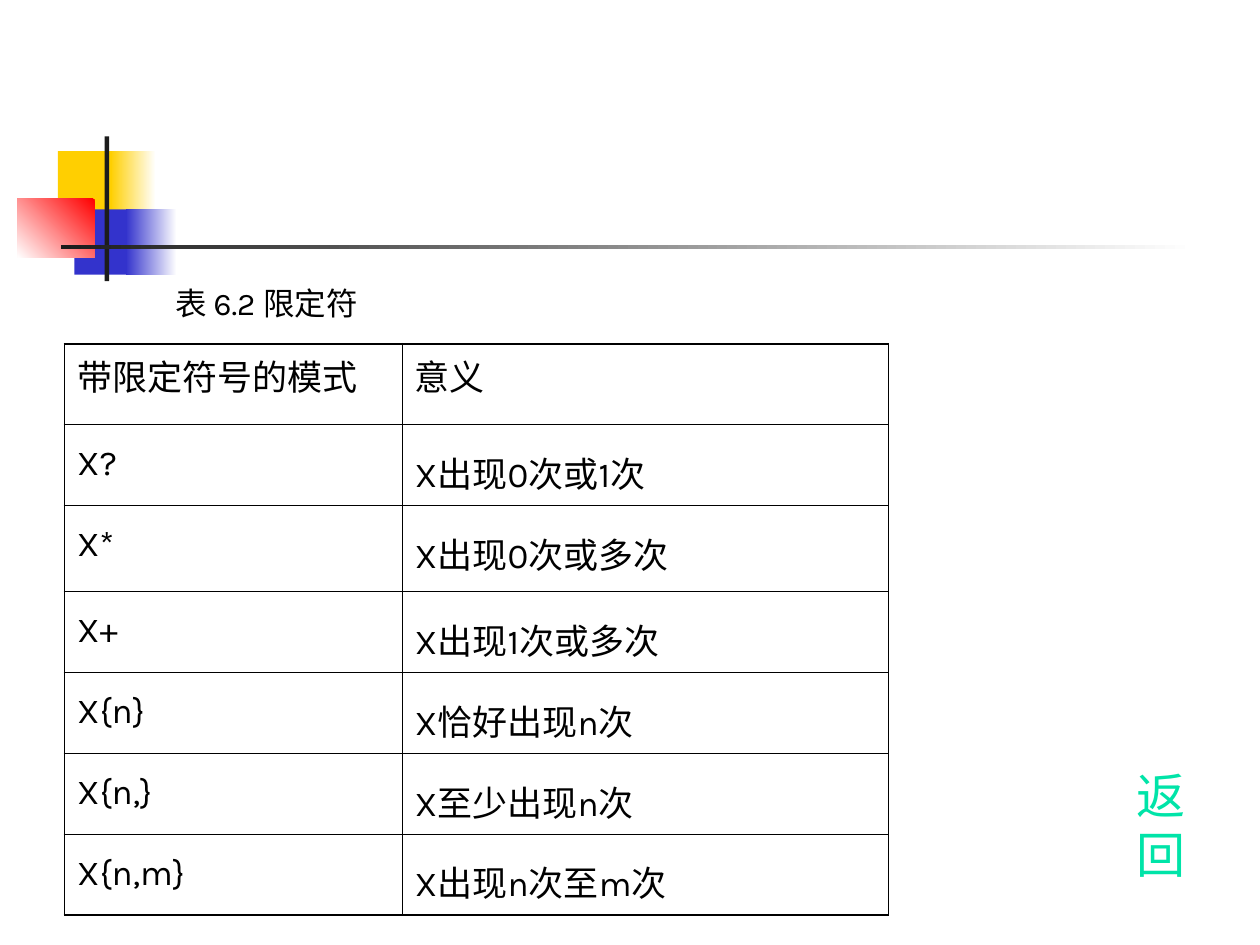
from lxml import etree
from pptx import Presentation
from pptx import util as u
from pptx.dml.color import RGBColor
from pptx.enum import shapes, text
from pptx.oxml import ns

BLACK = RGBColor(0x00, 0x00, 0x00)
WHITE = RGBColor(0xFF, 0xFF, 0xFF)
YELLOW = RGBColor(0xFF, 0xCF, 0x01)
BLUE = RGBColor(0x33, 0x33, 0xCC)
RED = RGBColor(0xFF, 0x00, 0x00)
CHARCOAL = RGBColor(0x1C, 0x1C, 0x1C)
GREEN = RGBColor(0x00, 0xE4, 0xA8)

THIN, THICK = 0.45, 1.08

QUANTIFIERS = [
    ("带限定符号的模式", "意义"),
    ("X?", "X出现0次或1次"),
    ("X*", "X出现0次或多次"),
    ("X+", "X出现1次或多次"),
    ("X{n}", "X恰好出现n次"),
    ("X{n,}", "X至少出现n次"),
    ("X{n,m}", "X出现n次至m次"),
]


class SlideBuilder:
    font_name = "Karla"
    cell_size = 20
    spacer_size = 28

    def __init__(self, presentation):
        self.slide = presentation.slides.add_slide(presentation.slide_layouts[6])

    def block(self, left, top, width, height, *colors, angle=180):
        """Add a rectangle: one colour is solid, two make a gradient."""
        shape = self.slide.shapes.add_shape(
            shapes.MSO_SHAPE.RECTANGLE, u.Cm(left), u.Cm(top), u.Cm(width), u.Cm(height))
        shape.shadow.inherit = False
        shape.line.fill.background()
        if len(colors) == 1:
            shape.fill.solid()
            shape.fill.fore_color.rgb = colors[0]
        else:
            shape.fill.gradient()
            shape.fill.gradient_angle = angle
            for stop, color, position in zip(shape.fill.gradient_stops, colors, (0, 1)):
                stop.color.rgb = color
                stop.position = position

    def style(self, paragraph, color=BLACK, size=None):
        paragraph.font.name = self.font_name
        paragraph.font.color.rgb = color
        if size:
            paragraph.font.size = u.Pt(size)

    def label(self, left, top, width, height, words, size, color=BLACK, centered=False):
        box = self.slide.shapes.add_textbox(u.Cm(left), u.Cm(top), u.Cm(width), u.Cm(height))
        frame = box.text_frame
        frame.word_wrap = not centered
        paragraph = frame.paragraphs[0]
        paragraph.text = words
        if centered:
            frame.vertical_anchor = text.MSO_ANCHOR.MIDDLE
            paragraph.alignment = text.PP_ALIGN.CENTER
        self.style(paragraph, color, size)

    def border(self, cell, side, width):
        properties = cell._tc.get_or_add_tcPr()
        line = etree.SubElement(properties, ns.qn(f"a:ln{side}"), w=str(int(u.Pt(width))))
        fill = etree.SubElement(line, ns.qn("a:solidFill"))
        etree.SubElement(fill, ns.qn("a:srgbClr"), val=str(BLACK))

    def table(self, left, top, widths, heights, rows):
        """Add a grid with a thick outline; body cells end in a larger space."""
        table = self.slide.shapes.add_table(
            len(rows), len(widths), u.Cm(left), u.Cm(top),
            u.Cm(sum(widths)), u.Cm(sum(heights))).table
        table.first_row = table.horz_banding = False
        for column, width in zip(table.columns, widths):
            column.width = u.Cm(width)
        for row, height in zip(table.rows, heights):
            row.height = u.Cm(height)
        last_row, last_column = len(rows) - 1, len(widths) - 1
        for i, row in enumerate(rows):
            for j, words in enumerate(row):
                cell = table.cell(i, j)
                outer = {"L": j == 0, "R": j == last_column, "T": i == 0, "B": i == last_row}
                for side, is_outer in outer.items():
                    self.border(cell, side, THICK if is_outer else THIN)
                cell.fill.background()
                paragraph = cell.text_frame.paragraphs[0]
                self.style(paragraph)
                parts = [(words, self.cell_size)]
                if i > 0:
                    parts.append((" ", self.spacer_size))
                for part, size in parts:
                    run = paragraph.add_run()
                    run.text = part
                    run.font.size = u.Pt(size)


def main():
    presentation = Presentation()
    presentation.slide_width, presentation.slide_height = u.Cm(25.4), u.Cm(19.05)
    builder = SlideBuilder(presentation)

    builder.block(1.17, 3.05, 1.22, 1.32, YELLOW)
    builder.block(2.23, 3.05, 0.91, 1.32, WHITE, YELLOW)
    builder.block(1.5, 4.22, 1.17, 1.32, BLUE)
    builder.block(2.54, 4.22, 1.02, 1.32, WHITE, BLUE)
    builder.block(0.35, 4.01, 1.56, 1.18, RED, WHITE, angle=225)
    builder.block(2.11, 2.75, 0.09, 2.92, CHARCOAL)
    builder.block(1.23, 4.94, 22.86, 0.09, WHITE, CHARCOAL)

    builder.label(3.28, 5.61, 10.6, 11.43, "表 6.2 限定符", 18)
    row_heights = [1.63] * len(QUANTIFIERS)
    row_heights[2] = 1.73
    builder.table(1.3, 6.93, [6.81, 9.8], row_heights, QUANTIFIERS)
    builder.label(22.3, 15.52, 2.21, 2.21, "返回", 28, GREEN, centered=True)

    presentation.save("out.pptx")


if __name__ == "__main__":
    main()
